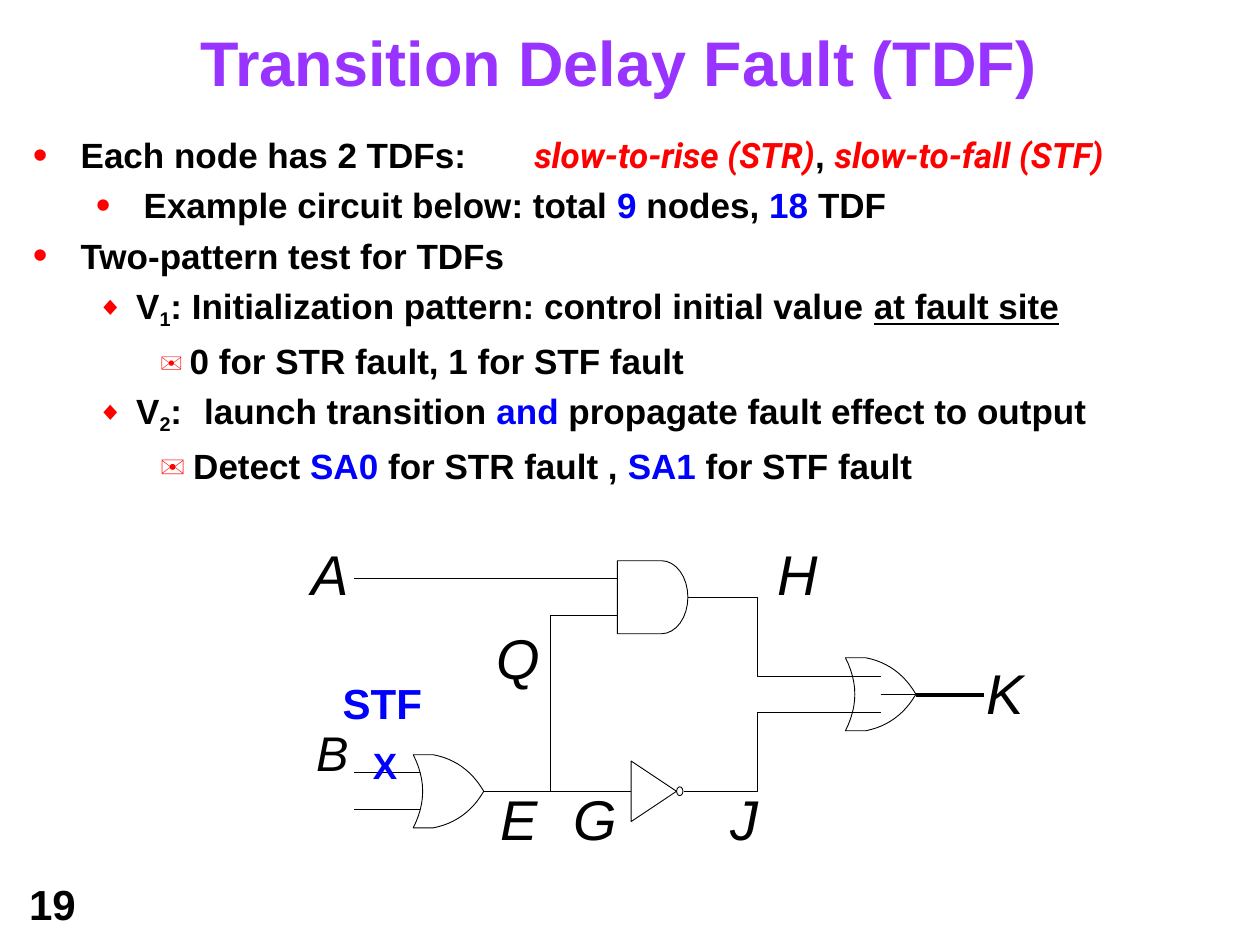
from dataclasses import dataclass
from math import cos, pi, sin

from lxml.etree import SubElement
from pptx import Presentation
from pptx.dml.color import RGBColor
from pptx.enum.shapes import MSO_CONNECTOR as Conn, MSO_SHAPE as Shape
from pptx.enum.text import MSO_ANCHOR as Anchor, MSO_AUTO_SIZE as AutoSize, PP_ALIGN as Align
from pptx.oxml.ns import qn
from pptx.util import Inches, Pt


@dataclass(frozen=True)
class Theme:
    font: str = "Arial"
    accent_font: str = "Roboto"
    black: str = "000000"
    white: str = "FFFFFF"
    red: str = "FF0000"
    blue: str = "0000FF"
    purple: str = "9933FF"
    title: float = 36
    body: float = 20
    small: float = 18
    subscript: float = 19.5
    node: float = 32
    note: float = 24
    wire: float = 0.55
    outline: float = 0.5
    output: float = 2.28


T = Theme()

# Circuit grid: three gate rows, inputs half a gate pitch off the middle
AND_ROW, OUT_ROW, IN_ROW = (4.74 + 0.77 * row for row in range(3))
PIN = 0.145
GATE_H = 4 * PIN
GATE_W = 0.56
IN_COL, OR_COL, BRANCH_COL, AND_COL = 2.81, 3.28, 4.37, 4.9
INV_COL, TURN_COL, OUT_COL, END_COL = 5.01, 6.01, 6.71, 7.81

# Run styles
NODE = dict(size=T.node, bold=False, italic=True)
FAULT = dict(font=T.accent_font, color=T.red, italic=True)
BLUE = dict(color=T.blue)
MAIL = dict(color=T.red, bold=False, spacing=-1)
SUB = dict(size=T.subscript, baseline=-21)

# Paragraph styles
DOT = dict(left=0.4, hang=-0.38, bullet=("•", 120), tabs=(0.4, 4))
SUB_DOT = dict(DOT, left=0.9, level=1)
DIAMOND = dict(left=0.84, hang=-0.31, bullet=("◆", 75), tabs=(0.84, 1.38), level=1)
DETAIL = dict(left=1.03)

BODY = [
    (DOT, [("Each node has 2 TDFs:\t", {}), ("slow-to-rise (STR)", FAULT), (", ", {}),
           ("slow-to-fall (STF)", FAULT)]),
    (SUB_DOT, [("Example circuit below: total ", {}), ("9 ", BLUE), ("nodes, ", {}),
               ("18 ", BLUE), ("TDF", {})]),
    (DOT, [("Two-pattern test for TDFs", {})]),
    (DIAMOND, [("V", {}), ("1", SUB),
               (": Initialization pattern: control initial value ", {}),
               ("at fault site", dict(underline=True))]),
    (DETAIL, [("✉ ", dict(MAIL, size=T.small)), ("0 for STR fault, 1 for STF fault", {})]),
    (DIAMOND, [("V", {}), ("2", SUB), (":\tlaunch transition ", {}), ("and", BLUE),
               (" propagate fault effect to output", {})]),
    (dict(DETAIL, level=2), [("✉ ", MAIL), ("Detect ", {}), ("SA0 ", BLUE),
                             ("for STR fault , ", {}), ("SA1 ", BLUE),
                             ("for STF fault", {})]),
]


def rgb(color):
    return RGBColor.from_string(color)


def add_run(paragraph, text, font=T.font, size=T.body, color=T.black, bold=True,
            italic=False, underline=False, baseline=0, spacing=0):
    run = paragraph.add_run()
    run.text = text
    style = run.font
    style.name, style.size, style.bold, style.italic = font, Pt(size), bold, italic
    style.color.rgb = rgb(color)
    if underline:
        style.underline = True
    props = run._r.get_or_add_rPr()
    if baseline:
        props.set("baseline", str(baseline * 1000))
    if spacing:
        props.set("spc", str(spacing * 100))


def format_paragraph(paragraph, left=0.01, hang=0, bullet=None, tabs=(), level=0,
                     leading=None):
    props = paragraph._p.get_or_add_pPr()
    props.set("marL", str(Inches(left)))
    if hang:  # an explicit zero indent would cancel the tab stops
        props.set("indent", str(Inches(hang)))
    if bullet:
        mark, percent = bullet
        SubElement(SubElement(props, qn("a:buClr")), qn("a:srgbClr"), val=T.red)
        SubElement(props, qn("a:buSzPct"), val=str(percent * 1000))
        SubElement(props, qn("a:buFont"), typeface=T.font)
        SubElement(props, qn("a:buChar"), char=mark)
    if tabs:
        stops = SubElement(props, qn("a:tabLst"))
        for stop in tabs:
            SubElement(stops, qn("a:tab"), pos=str(Inches(stop)), algn="l")
    paragraph.level = level
    paragraph.alignment = Align.LEFT
    if leading:
        paragraph.line_spacing = Pt(leading)


def fill_text(shape, paragraphs, gap=0):
    frame = shape.text_frame
    frame.word_wrap = True
    frame.auto_size = AutoSize.SHAPE_TO_FIT_TEXT
    frame.vertical_anchor = Anchor.TOP
    frame.margin_left = frame.margin_right = frame.margin_bottom = 0
    frame.margin_top = Inches(0.01)
    for index, (style, runs) in enumerate(paragraphs):
        paragraph = frame.add_paragraph() if index else frame.paragraphs[0]
        format_paragraph(paragraph, **style)
        if index and gap:
            paragraph.space_before = Pt(gap)
        for text, look in runs:
            add_run(paragraph, text, **look)


def add_label(slide, box, paragraphs, gap=0):
    fill_text(slide.shapes.add_textbox(*map(Inches, box)), paragraphs, gap)


def style_outline(shape, width, fill=None):
    shape.shadow.inherit = False
    shape.line.color.rgb = rgb(T.black)
    shape.line.width = Pt(width)
    if fill:
        shape.fill.solid()
        shape.fill.fore_color.rgb = rgb(fill)
    else:
        shape.fill.background()


def add_outline(slide, points, width=T.outline, fill=None, close=True):
    start, *rest = [(Inches(x), Inches(y)) for x, y in points]
    builder = slide.shapes.build_freeform(*start, scale=1.0)
    builder.add_line_segments(rest, close=close)
    style_outline(builder.convert_to_shape(), width, fill)


def add_wire(slide, x1, x2, y, width=T.wire):
    wire = slide.shapes.add_connector(Conn.STRAIGHT, *map(Inches, (x1, y, x2, y)))
    wire.line.color.rgb = rgb(T.black)
    wire.line.width = Pt(width)
    SubElement(wire._element.spPr, qn("a:effectLst"))


def curve(start, control, end, steps=12):
    """Points along a quadratic curve."""
    shares = [step / steps for step in range(steps + 1)]
    return [tuple((1 - t) ** 2 * a + 2 * t * (1 - t) * b + t * t * c
                  for a, b, c in zip(start, control, end)) for t in shares]


def add_or_gate(slide, x, mid, fill=None):
    top, bottom, tip = mid - GATE_H / 2, mid + GATE_H / 2, (x + GATE_W, mid)
    upper = curve((x + 0.16, top), (x + 0.42, top + 0.05), tip)
    lower = curve(tip, (x + 0.42, bottom - 0.05), (x + 0.16, bottom))
    back = curve((x, bottom), (x + 0.15, mid), (x, top))
    add_outline(slide, upper + lower[1:] + back, fill=fill)


def add_and_gate(slide, x, mid):
    half, flat = GATE_H / 2, 0.35
    angles = [pi * (step / 16 - 0.5) for step in range(17)]
    nose = [(x + flat + (GATE_W - flat) * cos(a), mid + half * sin(a)) for a in angles]
    add_outline(slide, [(x, mid - half)] + nose + [(x, mid + half)], fill=T.white)


def add_inverter(slide, x, mid):
    add_outline(slide, [(x, mid - 0.24), (x + 0.36, mid), (x, mid + 0.24)])
    bubble = slide.shapes.add_shape(
        Shape.OVAL, *map(Inches, (x + 0.36, mid - 0.035, 0.05, 0.07)))
    style_outline(bubble, T.outline)


def add_circuit(slide):
    # Straight wires
    out_mid = OUT_COL + GATE_W / 2
    add_wire(slide, IN_COL, AND_COL + 0.1, AND_ROW - PIN)
    for pin in (-PIN, PIN):
        add_wire(slide, IN_COL, OR_COL + 0.28, IN_ROW + pin)
    add_wire(slide, OR_COL + 0.28, INV_COL, IN_ROW)
    add_wire(slide, out_mid, END_COL, OUT_ROW)
    add_wire(slide, OUT_COL + GATE_W, END_COL, OUT_ROW + 0.01, T.output)
    # Bent wires: branch Q, then H and J into the output gate
    add_outline(slide, [(AND_COL + 0.1, AND_ROW + PIN), (BRANCH_COL, AND_ROW + PIN),
                        (BRANCH_COL, IN_ROW)], T.wire, close=False)
    for start, row, pin in ((AND_COL + GATE_W, AND_ROW, -PIN),
                            (INV_COL + 0.42, IN_ROW, PIN)):
        add_outline(slide, [(start, row), (TURN_COL, row), (TURN_COL, OUT_ROW + pin),
                            (out_mid, OUT_ROW + pin)], T.wire, close=False)
    # Gates
    add_or_gate(slide, OR_COL, IN_ROW, T.white)
    add_and_gate(slide, AND_COL, AND_ROW)
    add_inverter(slide, INV_COL, IN_ROW)
    add_or_gate(slide, OUT_COL, OUT_ROW)
    # Node names
    add_label(slide, (2.46, 4.27, 4.04, 0.56), [(dict(tabs=(3.7,)), [("A\tH", NODE)])])
    add_label(slide, (3.93, 4.94, 0.37, 0.56), [({}, [("Q", NODE)])])
    add_label(slide, (7.82, 5.22, 0.33, 0.56), [({}, [("K", NODE)])])
    add_label(slide, (3.93, 6.26, 2.46, 0.51),
              [(dict(left=0.04, tabs=(0.58, 1.83), leading=35.2), [("E\tG\tJ", NODE)])])
    # Fault at node B
    add_label(slide, (1.65, 5.43, 1.74, 0.83), [
        (dict(left=1.07, leading=24.2), [("STF", dict(BLUE, size=T.note))]),
        (dict(left=0.04, tabs=(0.82,), leading=33.8),
         [("\t", {}), ("B ", dict(NODE, size=48, baseline=-8, spacing=3)),
          ("X", dict(BLUE, size=36, baseline=-23))])])


def main():
    deck = Presentation()
    deck.slide_width, deck.slide_height = Inches(10), Inches(7.5)
    slide = deck.slides.add_slide(deck.slide_layouts[5])
    title = slide.shapes.title
    title.left, title.top, title.width, title.height = map(Inches, (1.58, 0.18, 6.7, 0.63))
    fill_text(title, [({}, [("Transition Delay Fault (TDF)",
                             dict(size=T.title, color=T.purple))])])
    add_label(slide, (0.24, 1.05, 9.51, 3.61), BODY, gap=4.8)
    add_circuit(slide)
    # Slide number
    add_label(slide, (0.19, 6.98, 0.45, 0.4),
              [(dict(left=0.04, leading=27.6), [("19", dict(size=T.note))])])
    deck.save("out.pptx")


if __name__ == "__main__":
    main()
